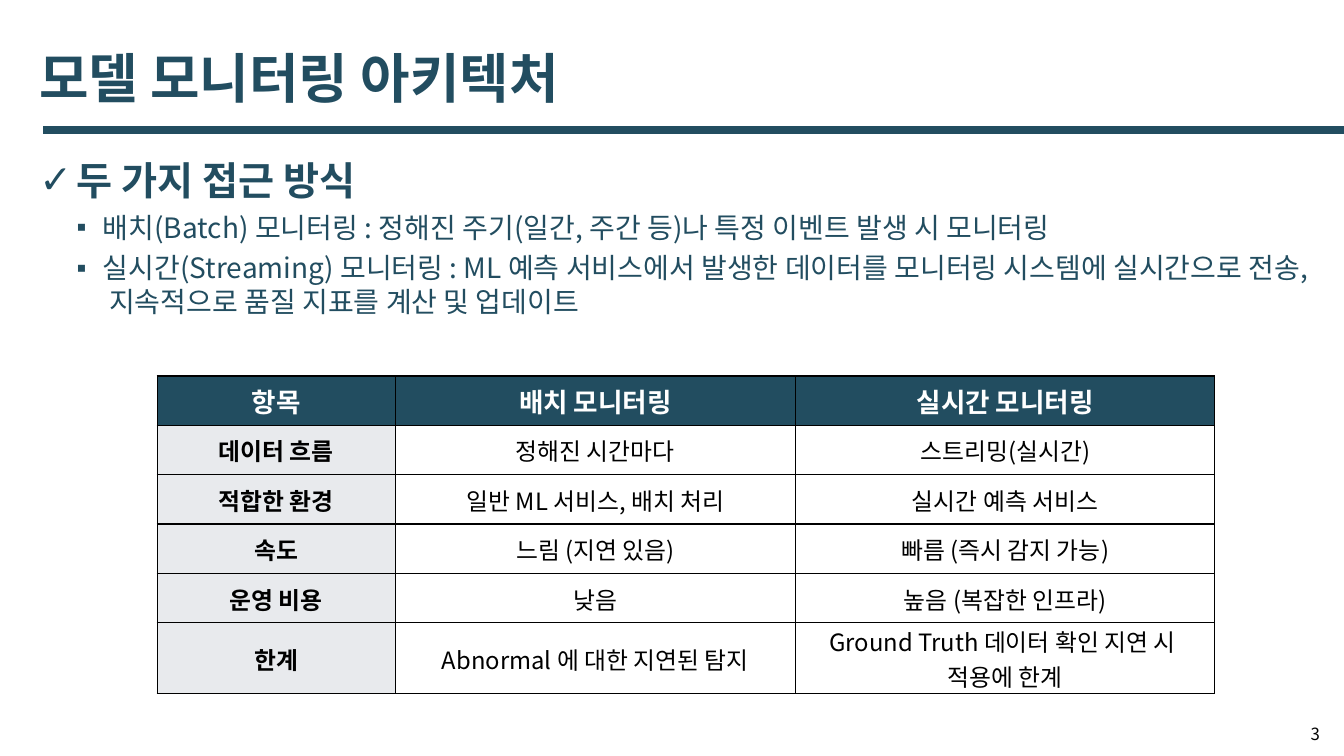
import dataclasses
import typing

import lxml.etree
import pptx
import pptx.dml.color
import pptx.enum.shapes
import pptx.enum.text
import pptx.oxml.ns
import pptx.util

Inches = pptx.util.Inches
Pt = pptx.util.Pt
Align = pptx.enum.text.PP_ALIGN
Anchor = pptx.enum.text.MSO_ANCHOR
Fit = pptx.enum.text.MSO_AUTO_SIZE


@dataclasses.dataclass(frozen=True)
class Theme:
    font: str = "Noto Sans CJK KR"
    navy: str = "224D60"
    gray: str = "E8EAED"
    white: str = "FFFFFF"
    black: str = "000000"
    title: float = 38.4
    head: float = 28
    item: float = 20
    top: float = 19
    cell: float = 17
    page: float = 12


@dataclasses.dataclass(frozen=True)
class Style:
    size: float
    color: str
    bold: bool = False


@dataclasses.dataclass(frozen=True)
class Bullet:
    level: int
    mark: str
    margin: float
    hang: float
    before: float
    style: Style


THEME = Theme()
HEAD = Bullet(0, "✓", 0.37, 0.37, 10, Style(THEME.head, THEME.navy, True))
ITEM = Bullet(1, "▪", 0.63, 0.26, 5, Style(THEME.item, THEME.navy))
POINTS = [
    (HEAD, "두 가지 접근 방식"),
    (ITEM, "배치(Batch) 모니터링 : 정해진 주기(일간, 주간 등)나 특정 이벤트 발생 시 모니터링"),
    (ITEM, "실시간(Streaming) 모니터링 : ML 예측 서비스에서 발생한 데이터를 "
           "모니터링 시스템에 실시간으로 전송, 지속적으로 품질 지표를 계산 및 업데이트"),
]
ROWS = [
    ("항목", "배치 모니터링", "실시간 모니터링"),
    ("데이터 흐름", "정해진 시간마다", "스트리밍(실시간)"),
    ("적합한 환경", "일반 ML 서비스, 배치 처리", "실시간 예측 서비스"),
    ("속도", "느림 (지연 있음)", "빠름 (즉시 감지 가능)"),
    ("운영 비용", "낮음", "높음 (복잡한 인프라)"),
    ("한계", "Abnormal 에 대한 지연된 탐지", "Ground Truth 데이터 확인 지연 시 \n적용에 한계"),
]
WIDTHS = (2.36, 3.97, 4.16)
HEIGHTS = (0.49,) * 5 + (0.7,)


def apply(target: typing.Any, form: dict[str, typing.Any]) -> None:
    for name, value in form.items():
        setattr(target, name, value)


def tint(color: str) -> pptx.dml.color.RGBColor:
    return pptx.dml.color.RGBColor.from_string(color)


def add_node(parent: typing.Any, tag: str, **attrs: str) -> typing.Any:
    return lxml.etree.SubElement(parent, pptx.oxml.ns.qn(tag), attrs)


def place(shape: typing.Any, left: float, top: float, width: float, height: float) -> None:
    apply(shape, {"left": Inches(left), "top": Inches(top),
                  "width": Inches(width), "height": Inches(height)})


def write(para: typing.Any, text: str, style: Style, **form: typing.Any) -> None:
    apply(para, form)
    run = para.add_run()
    run.text = text
    apply(run.font, {"name": THEME.font, "size": Pt(style.size), "bold": style.bold})
    run.font.color.rgb = tint(style.color)
    props = run._r.get_or_add_rPr()
    props.set("kern", "0")
    add_node(props, "a:ea", typeface=THEME.font)


def get_para(frame: typing.Any, index: int) -> typing.Any:
    return frame.add_paragraph() if index else frame.paragraphs[0]


def draw_title(slide: typing.Any) -> None:
    title = slide.shapes.title
    place(title, 0.29, 0.31, 12.75, 0.98)
    apply(title.text_frame, {"vertical_anchor": Anchor.MIDDLE, "auto_size": Fit.NONE})
    write(title.text_frame.paragraphs[0], "모델 모니터링 아키텍처",
          Style(THEME.title, THEME.navy, True), alignment=Align.LEFT, line_spacing=0.9)


def draw_rule(slide: typing.Any) -> None:
    rule = slide.shapes.add_connector(
        pptx.enum.shapes.MSO_CONNECTOR.STRAIGHT,
        Inches(0.43), Inches(1.29), Inches(13.33), Inches(1.29))
    rule.line.color.rgb = tint(THEME.navy)
    rule.line.width = Pt(6)
    add_node(rule._element.spPr, "a:effectLst")


def draw_points(slide: typing.Any) -> None:
    body = slide.placeholders[1]
    place(body, 0.29, 1.5, 12.74, 1.72)
    frame = body.text_frame
    apply(frame, {"word_wrap": True, "auto_size": Fit.SHAPE_TO_FIT_TEXT})
    for index, (bullet, text) in enumerate(POINTS):
        para = get_para(frame, index)
        write(para, text, bullet.style, level=bullet.level,
              space_before=Pt(bullet.before), alignment=Align.LEFT)
        props = para._p.get_or_add_pPr()
        props.set("marL", str(Inches(bullet.margin)))
        props.set("indent", str(-Inches(bullet.hang)))
        add_node(props, "a:buChar", char=bullet.mark)


def add_edges(cell: typing.Any) -> None:
    props = cell._tc.get_or_add_tcPr()
    for side in ("L", "R", "T", "B"):
        edge = add_node(props, f"a:ln{side}", w=str(Pt(1)))
        add_node(add_node(edge, "a:solidFill"), "a:srgbClr", val=THEME.black)


def fill_cell(cell: typing.Any, text: str, style: Style, back: str) -> None:
    inset = Inches(0.01)
    apply(cell, {"vertical_anchor": Anchor.MIDDLE, "margin_left": inset,
                 "margin_right": inset, "margin_top": inset, "margin_bottom": 0})
    add_edges(cell)
    cell.fill.solid()
    cell.fill.fore_color.rgb = tint(back)
    for index, line in enumerate(text.split("\n")):
        write(get_para(cell.text_frame, index), line, style, alignment=Align.CENTER)


def draw_table(slide: typing.Any) -> None:
    table = slide.shapes.add_table(
        len(ROWS), len(WIDTHS), Inches(1.56), Inches(3.73),
        Inches(sum(WIDTHS)), Inches(sum(HEIGHTS))).table
    table.horz_banding = False
    for column, width in zip(table.columns, WIDTHS):
        column.width = Inches(width)
    for row, height in zip(table.rows, HEIGHTS):
        row.height = Inches(height)
    for r, row in enumerate(ROWS):
        for c, text in enumerate(row):
            if r == 0:
                style, back = Style(THEME.top, THEME.white, True), THEME.navy
            else:
                style = Style(THEME.cell, THEME.black, c == 0)
                back = THEME.white if c else THEME.gray
            fill_cell(table.cell(r, c), text, style, back)


def draw_page(slide: typing.Any) -> None:
    box = slide.shapes.add_textbox(Inches(12.9), Inches(7.13), Inches(0.43), Inches(0.4))
    box.text_frame.word_wrap = True
    write(box.text_frame.paragraphs[0], "3", Style(THEME.page, THEME.black))


def main() -> None:
    deck = pptx.Presentation()
    apply(deck, {"slide_width": Inches(13.33), "slide_height": Inches(7.5)})
    slide = deck.slides.add_slide(deck.slide_layouts[1])
    slide.background.fill.solid()
    slide.background.fill.fore_color.rgb = tint(THEME.white)
    for draw in (draw_rule, draw_points, draw_title, draw_table, draw_page):
        draw(slide)
    deck.save("out.pptx")


if __name__ == "__main__":
    main()
